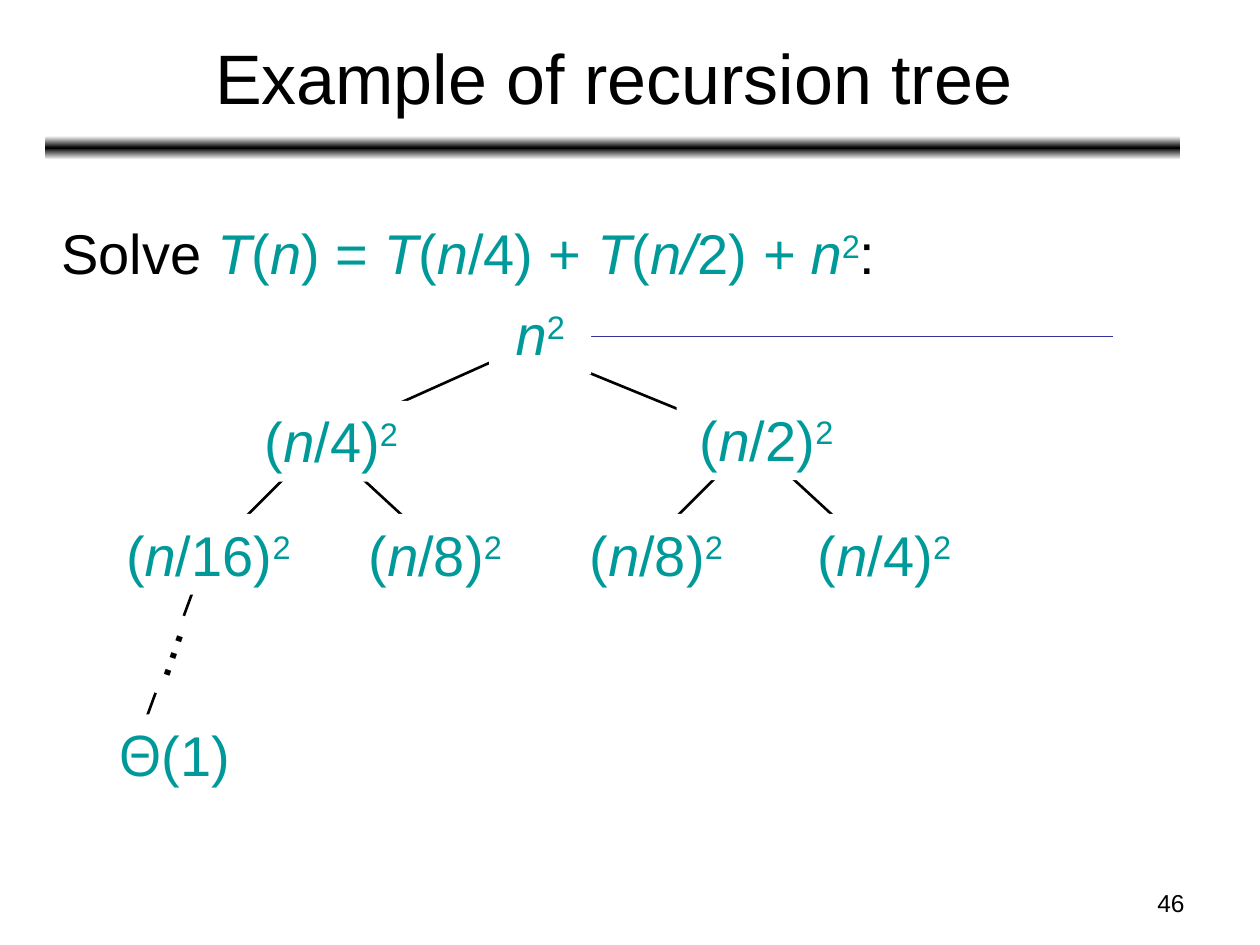
import dataclasses
import typing
import copy
import pptx
import pptx.dml.color
import pptx.enum.shapes
import pptx.enum.text
import pptx.oxml
import pptx.oxml.ns
import pptx.util

Cm = pptx.util.Cm
Align = pptx.enum.text.PP_ALIGN
Anchor = pptx.enum.text.MSO_ANCHOR
Kind = pptx.enum.shapes.MSO_SHAPE
HUES = {"ink": "000000", "teal": "009999", "navy": "333399", "paper": "FFFFFF"}


@dataclasses.dataclass
class Run:
    text: str
    slant: bool = False
    lift: bool = False
    hue: str = "teal"
    face: str = "Arial"


@dataclasses.dataclass
class Box:
    left: float
    top: float
    width: float
    height: float
    runs: list[Run]
    size: int = 32
    align: typing.Any = Align.CENTER
    anchor: typing.Any = Anchor.TOP
    turn: float = 0
    solid: bool = True


@dataclasses.dataclass
class Edge:
    start: tuple[float, float]
    end: tuple[float, float]
    hue: str = "ink"
    weight: float = 1.5


def color(name: str) -> pptx.dml.color.RGBColor:
    return pptx.dml.color.RGBColor.from_string(HUES[name])


def apply(target: typing.Any, values: dict[str, typing.Any]) -> None:
    for name, value in values.items():
        setattr(target, name, value)


def draw_box(slide: typing.Any, box: Box) -> None:
    spot = [Cm(v) for v in (box.left, box.top, box.width, box.height)]
    if box.solid:
        shape = slide.shapes.add_shape(Kind.RECTANGLE, *spot)
        shape.shadow.inherit = False
        shape.fill.solid()
        shape.fill.fore_color.rgb = color("paper")
        shape.line.fill.background()
    else:
        shape = slide.shapes.add_textbox(*spot)
    shape.rotation = box.turn
    frame = shape.text_frame
    apply(frame, {"word_wrap": True, "vertical_anchor": box.anchor})
    para = frame.paragraphs[0]
    para.alignment = box.align
    for part in box.runs:
        run = para.add_run()
        run.text = part.text
        apply(run.font, {"size": pptx.util.Pt(box.size), "name": part.face, "italic": part.slant})
        run.font.color.rgb = color(part.hue)
        if part.lift:
            run.font._element.set("baseline", "30000")


def draw_edge(slide: typing.Any, edge: Edge) -> None:
    ends = [Cm(v) for v in edge.start + edge.end]
    line = slide.shapes.add_connector(pptx.enum.shapes.MSO_CONNECTOR.STRAIGHT, *ends)
    line.line.color.rgb = color(edge.hue)
    line.line.width = pptx.util.Pt(edge.weight)
    props = line._element.spPr
    props.append(pptx.oxml.parse_xml(f"<a:effectLst {pptx.oxml.ns.nsdecls('a')}/>"))


def draw_bar(slide: typing.Any) -> None:
    bar = slide.shapes.add_shape(Kind.ROUNDED_RECTANGLE, Cm(0.91), Cm(2.74), Cm(22.89), Cm(0.48))
    bar.shadow.inherit = False
    bar.line.fill.background()
    bar.fill.gradient()
    bar.fill.gradient_angle = 90
    stops = bar._element.find(".//" + pptx.oxml.ns.qn("a:gsLst"))
    stops.append(copy.deepcopy(stops[0]))
    for stop, place, hue in zip(bar.fill.gradient_stops, (0, 0.5, 1), ("paper", "ink", "paper")):
        stop.position = place
        stop.color.rgb = color(hue)


def power(lower: str) -> list[Run]:
    return [Run("("), Run("n", slant=True), Run(f"/{lower})"), Run("2", lift=True)]


def main() -> None:
    deck = pptx.Presentation()
    apply(deck, {"slide_width": Cm(25.4), "slide_height": Cm(19.05)})
    slide = deck.slides.add_slide(deck.slide_layouts[6])
    draw_bar(slide)

    top, left, right = (10.59, 6.99), (6.48, 8.89), (15.16, 8.89)
    leaves = [(x, 11.23) for x in (4.14, 9.02, 12.83, 17.7)]
    pairs = [(top, (6.35, 8.89)), (top, (15.24, 8.89)), (leaves[0], (2.67, 15.24))]
    pairs += zip((left, left, right, right), leaves)
    for start, end in pairs:
        draw_edge(slide, Edge(start, end))
    draw_edge(slide, Edge((10.59, 6.78), (22.43, 6.78), "navy", 0.75))

    solve = [Run("Solve ", hue="ink")]
    words = ("T", "(", "n", ") = ", "T", "(", "n", "/4) + ", "T", "(", "n/", "2)", " + n")
    solve += [Run(word, slant=i % 2 == 0) for i, word in enumerate(words)]
    solve += [Run("2", lift=True), Run(":", hue="ink")]
    draw_box(slide, Box(0.94, 0.28, 22.86, 2.51, [Run("Example of recursion tree", hue="ink")],
                        size=40, anchor=Anchor.MIDDLE, solid=False))
    draw_box(slide, Box(0.99, 4.29, 17.42, 1.63, solve, align=Align.LEFT, solid=False))

    terms = [
        (2.08, 10.36, 4.24, "16"), (6.96, 10.36, 3.63, "8"),
        (11.25, 10.36, 3.96, "8"), (15.85, 10.36, 3.96, "4"),
        (4.7, 8.08, 3.96, "4"), (13.64, 8.05, 3.63, "2"),
    ]
    for x, y, width, lower in terms:
        draw_box(slide, Box(x, y, width, 1.63, power(lower)))
    draw_box(slide, Box(1.7, 14.4, 3.63, 1.63, [Run("Θ", face="Open Sans"), Run("(1)")]))
    draw_box(slide, Box(2.31, 12.29, 1.65, 1.6, [Run("…", hue="ink")], turn=289))
    draw_box(slide, Box(9.86, 5.92, 2.06, 1.63, [Run("n", slant=True), Run("2", lift=True)]))
    draw_box(slide, Box(18.21, 17.78, 5.92, 0.89, [Run("46", hue="ink")],
                        size=14, align=Align.RIGHT, solid=False))
    deck.save("out.pptx")


if __name__ == "__main__":
    main()
